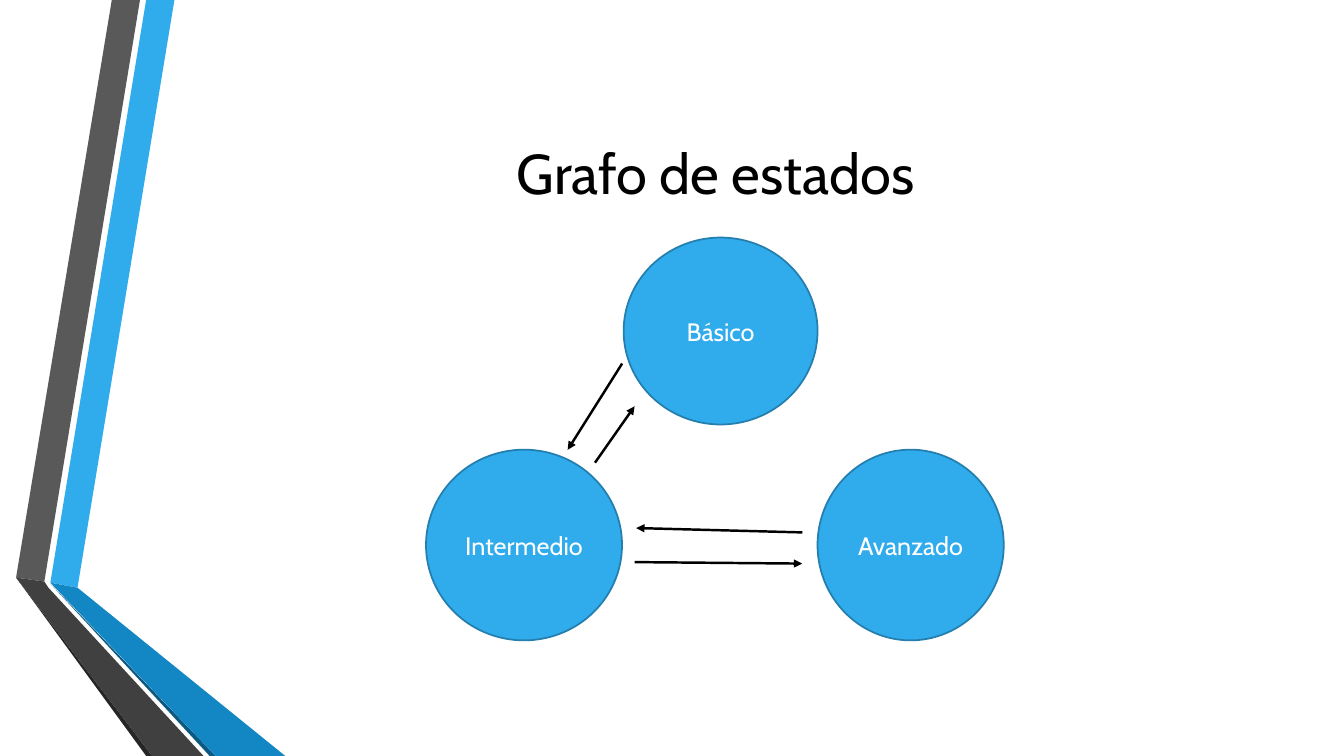
"""Builds a slide with a graph of three learner levels and the moves between them."""
import lxml.etree
import pptx
import pptx.dml.color
import pptx.enum.shapes
import pptx.enum.text
import pptx.oxml
import pptx.oxml.ns
import pptx.util

Pt = pptx.util.Pt
RGBColor = pptx.dml.color.RGBColor

WHITE = RGBColor(0xFF, 0xFF, 0xFF)
BLACK = RGBColor(0x00, 0x00, 0x00)
SKY = RGBColor(0x30, 0xAC, 0xEC)
STEEL = RGBColor(0x24, 0x7F, 0xAF)
BLUE = RGBColor(0x12, 0x87, 0xC3)
NAVY = RGBColor(0x0C, 0x5A, 0x82)
GRAY = RGBColor(0x59, 0x59, 0x59)
GRAPHITE = RGBColor(0x40, 0x40, 0x40)
CHARCOAL = RGBColor(0x26, 0x26, 0x26)

RIBBONS = [
    (SKY, [(36, 416.2), (55.4, 419.8), (124.6, 0), (104.4, 0)]),
    (GRAY, [(100, 0), (79.9, 0), (11.5, 412.6), (31.7, 415.4)]),
    (CHARCOAL, [(11.5, 412.6), (104.4, 540), (108.7, 540)]),
    (NAVY, [(36, 416.9), (149.8, 540), (154.1, 540)]),
    (BLUE, [(36, 416.2), (154.1, 540), (203.8, 540), (55.4, 419.8)]),
    (GRAPHITE, [(145.4, 540), (34.6, 419.8), (31.7, 415.4), (11.5, 412.6), (108.7, 540)]),
]
STATES = [
    ("Básico", 445.5, 169.7, 138.5, 133.5),
    ("Avanzado", 584, 321.2, 133, 136.2),
    ("Intermedio", 304.3, 321.2, 140, 136.2),
]
TRANSITIONS = [
    ((444.4, 259.7), (405.5, 321.3)),
    ((453.3, 401.5), (573, 402.6)),
    ((573.1, 380.3), (454.4, 377.2)),
    ((425, 330.5), (453.3, 290.2)),
]


class SlideBuilder:
    """Holds the style and the current slide."""

    font_name = "Cabin"

    def __init__(self, presentation):
        self.slide = presentation.slides.add_slide(presentation.slide_layouts[5])

    def add_label(self, shape, text, size, color):
        frame = shape.text_frame
        frame.word_wrap = True
        frame.vertical_anchor = pptx.enum.text.MSO_ANCHOR.MIDDLE
        paragraph = frame.paragraphs[0]
        paragraph.alignment = pptx.enum.text.PP_ALIGN.CENTER
        run = paragraph.add_run()
        run.text = text
        run.font.name = self.font_name
        run.font.size = Pt(size)
        run.font.color.rgb = color

    def paint(self, shape, color):
        shape.shadow.inherit = False
        shape.fill.solid()
        shape.fill.fore_color.rgb = color

    def title(self, text, left, top, width, height):
        shape = self.slide.shapes.title
        shape.left, shape.top = Pt(left), Pt(top)
        shape.width, shape.height = Pt(width), Pt(height)
        self.add_label(shape, text, 40, BLACK)

    def ribbon(self, color, points):
        start, *others = [(Pt(x), Pt(y)) for x, y in points]
        builder = self.slide.shapes.build_freeform(*start)
        builder.add_line_segments(others, close=True)
        shape = builder.convert_to_shape()
        self.paint(shape, color)
        shape.line.fill.background()

    def state(self, text, left, top, width, height):
        shape = self.slide.shapes.add_shape(
            pptx.enum.shapes.MSO_SHAPE.OVAL, Pt(left), Pt(top), Pt(width), Pt(height))
        self.paint(shape, SKY)
        shape.line.color.rgb = STEEL
        shape.line.width = Pt(1.25)
        self.add_label(shape, text, 18, WHITE)

    def arrow(self, start, end):
        connector = self.slide.shapes.add_connector(
            pptx.enum.shapes.MSO_CONNECTOR.STRAIGHT, *map(Pt, start + end))
        connector.line.color.rgb = BLACK
        connector.line.width = Pt(1.75)
        qualify = pptx.oxml.ns.qn
        properties = connector.element.spPr
        line = properties.find(qualify("a:ln"))
        lxml.etree.SubElement(line, qualify("a:tailEnd"), type="triangle")
        lxml.etree.SubElement(properties, qualify("a:effectLst"))


def main():
    presentation = pptx.Presentation()
    presentation.slide_width = Pt(960)
    presentation.slide_height = Pt(540)
    builder = SlideBuilder(presentation)
    for ribbon in RIBBONS:
        builder.ribbon(*ribbon)
    builder.title("Grafo de estados", 116.6, 54, 789, 138.2)
    for state in STATES:
        builder.state(*state)
    for transition in TRANSITIONS:
        builder.arrow(*transition)
    presentation.save("out.pptx")


main()
